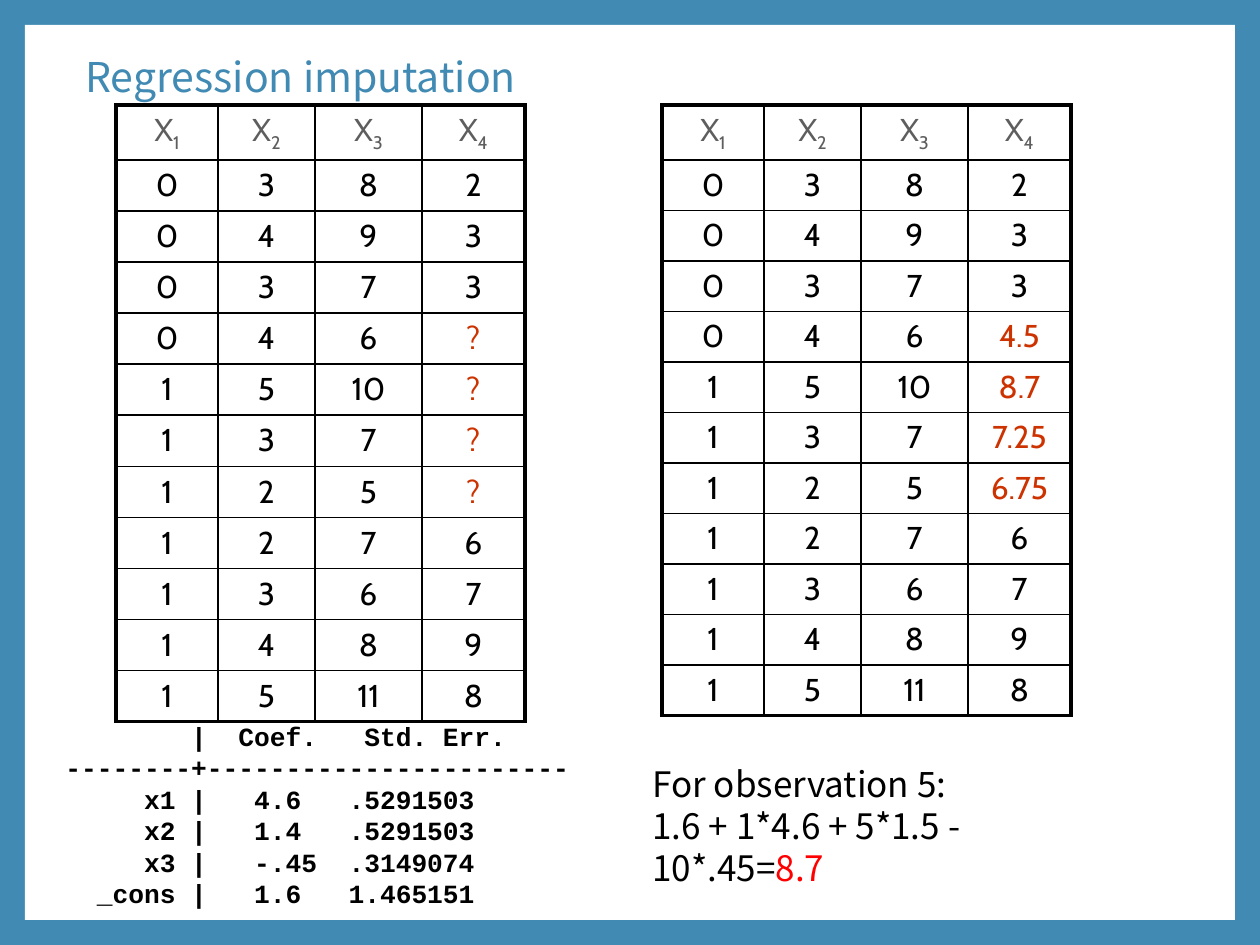
from pptx import Presentation
from pptx.dml.color import RGBColor as RGB
from pptx.enum.shapes import MSO_SHAPE as SHAPE
from pptx.enum.text import MSO_ANCHOR as ANCHOR, PP_ALIGN as ALIGN
from pptx.oxml import parse_xml
from pptx.oxml.ns import nsdecls
from pptx.util import Pt

PX = 914400 // 126
COLORS = {"blue": "418AB3", "white": "FFFFFF", "black": "000000",
          "gray": "5E5E5E", "rust": "CC3300", "red": "FF0000"}
SANS, MONO, CELL = "Noto Sans CJK SC", "Courier New", "Cabin"

prs = Presentation()
prs.slide_width, prs.slide_height = 1260 * PX, 945 * PX
s = prs.slides.add_slide(prs.slide_layouts[6])
s.background.fill.solid()
s.background.fill.fore_color.rgb = RGB.from_string(COLORS["blue"])

panel = s.shapes.add_shape(SHAPE.RECTANGLE, 25 * PX, 25 * PX, 1210 * PX, 895 * PX)
panel.shadow.inherit = False
panel.fill.solid()
panel.fill.fore_color.rgb = RGB.from_string(COLORS["white"])
panel.line.fill.background()


def set_font(font, name, size, color, bold=False):
    """Set typeface, point size, colour and weight."""
    font.name, font.size, font.bold = name, Pt(size), bold
    font.color.rgb = RGB.from_string(COLORS[color])


def add_text(box, lines, name, size, color, bold=False):
    """Add a text box with one paragraph per line and return its frame."""
    tf = s.shapes.add_textbox(*[v * PX for v in box]).text_frame
    tf.word_wrap = True
    for i, line in enumerate(lines):
        p = tf.paragraphs[0] if i == 0 else tf.add_paragraph()
        p.add_run().text = line
        set_font(p.font, name, size, color, bold)
    return tf


title = add_text((73, 53, 1071, 53), ["Regression imputation"], SANS, 23.4, "blue")
title.vertical_anchor = ANCHOR.MIDDLE
title.paragraphs[0].line_spacing = 0.9

# Complete columns, and the last column before and after imputation
X1 = [0] * 4 + [1] * 7
X2 = [3, 4, 3, 4, 5, 3, 2, 2, 3, 4, 5]
X3 = [8, 9, 7, 6, 10, 7, 5, 7, 6, 8, 11]
X4_START, X4_END = [2, 3, 3], [6, 7, 9, 8]
COL_WIDTHS = [102, 97, 107, 103]
HEADER_HEIGHT = 55
TABLES = [(116, 617, ["?"] * 4), (662, 611, ["4.5", "8.7", "7.25", "6.75"])]

for left, height, imputed in TABLES:
    rows = list(zip(X1, X2, X3, X4_START + imputed + X4_END))
    n_rows, n_cols = len(rows) + 1, len(COL_WIDTHS)
    frame = s.shapes.add_table(n_rows, n_cols, left * PX, 105 * PX,
                               sum(COL_WIDTHS) * PX, height * PX)
    table = frame.table
    table.first_row = table.horz_banding = False
    for col, width in zip(table.columns, COL_WIDTHS):
        col.width = width * PX
    for row in table.rows:
        row.height = (height - HEADER_HEIGHT) * PX // len(rows)
    table.rows[0].height = HEADER_HEIGHT * PX

    for i in range(n_rows):
        for j in range(n_cols):
            cell = table.cell(i, j)
            cell.fill.background()
            cell.vertical_anchor = ANCHOR.MIDDLE
            cell.margin_top = cell.margin_bottom = 4 * PX
            p = cell.text_frame.paragraphs[0]
            p.alignment = ALIGN.CENTER
            if i == 0:
                p.add_run().text = "X"
                r = p.add_run()
                r.text = str(j + 1)
                r.font._element.set("baseline", "-25000")
                color = "gray"
            else:
                value = rows[i - 1][j]
                p.add_run().text = str(value)
                color = "rust" if value in imputed else "black"
            set_font(p.font, CELL, 18, color)

            # Thick outer frame, thin inner grid; borders precede the fill
            outer = {"L": j == 0, "R": j == n_cols - 1,
                     "T": i == 0, "B": i == n_rows - 1}
            for k, (side, thick) in enumerate(outer.items()):
                cell._tc.get_or_add_tcPr().insert(k, parse_xml(
                    f'<a:ln{side} {nsdecls("a")} w="{Pt(2.25 if thick else 1)}">'
                    f'<a:solidFill><a:srgbClr val="{COLORS["black"]}"/></a:solidFill>'
                    f'</a:ln{side}>'))

add_text((53, 714, 577, 202), [
    "        |  Coef.   Std. Err. ",
    "--------+-----------------------",
    "     x1 |   4.6   .5291503  ",
    "     x2 |   1.4   .5291503 ",
    "     x3 |   -.45  .3149074 ",
    "  _cons |   1.6   1.465151",
], MONO, 15, "black", bold=True)

example = add_text((640, 756, 490, 97), [
    "For observation 5:", "1.6 + 1*4.6 + 5*1.5 - 10*.45="], SANS, 20, "black")
r = example.paragraphs[1].add_run()
r.text = "8.7"
r.font.color.rgb = RGB.from_string(COLORS["red"])

prs.save("out.pptx")
